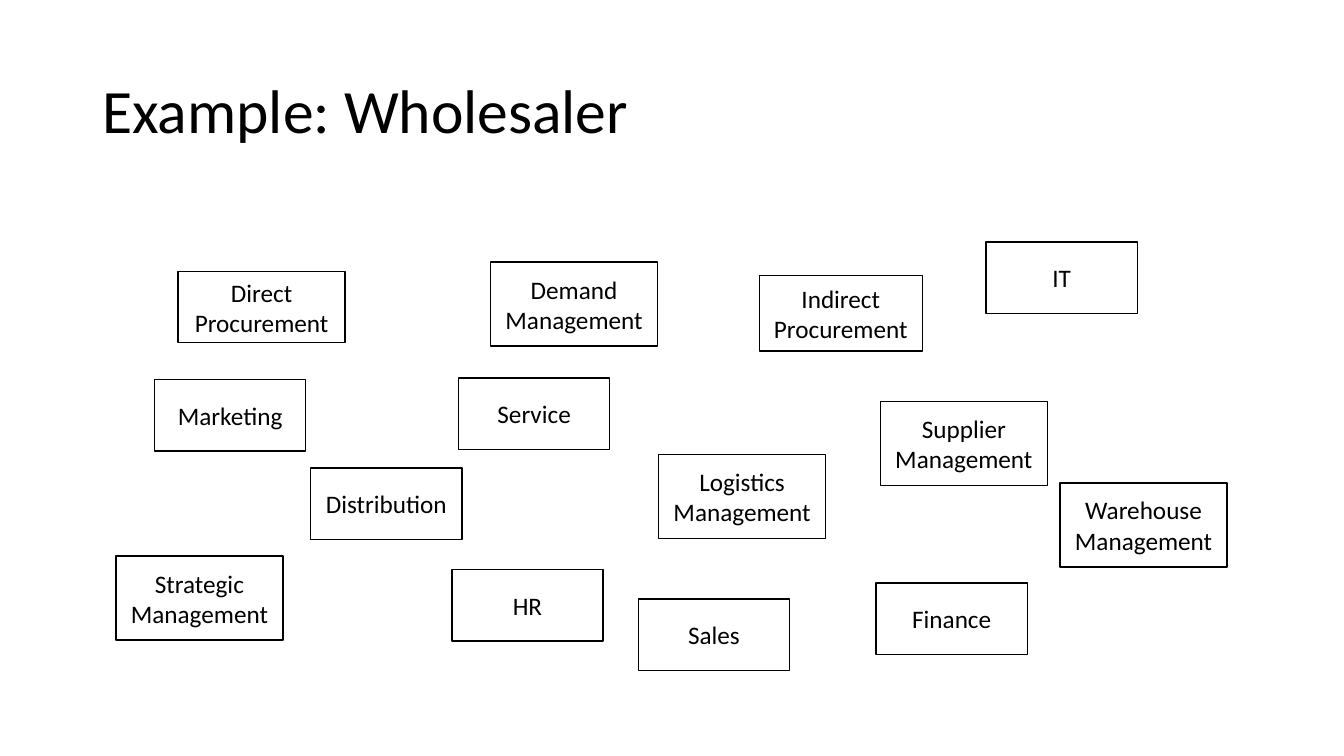
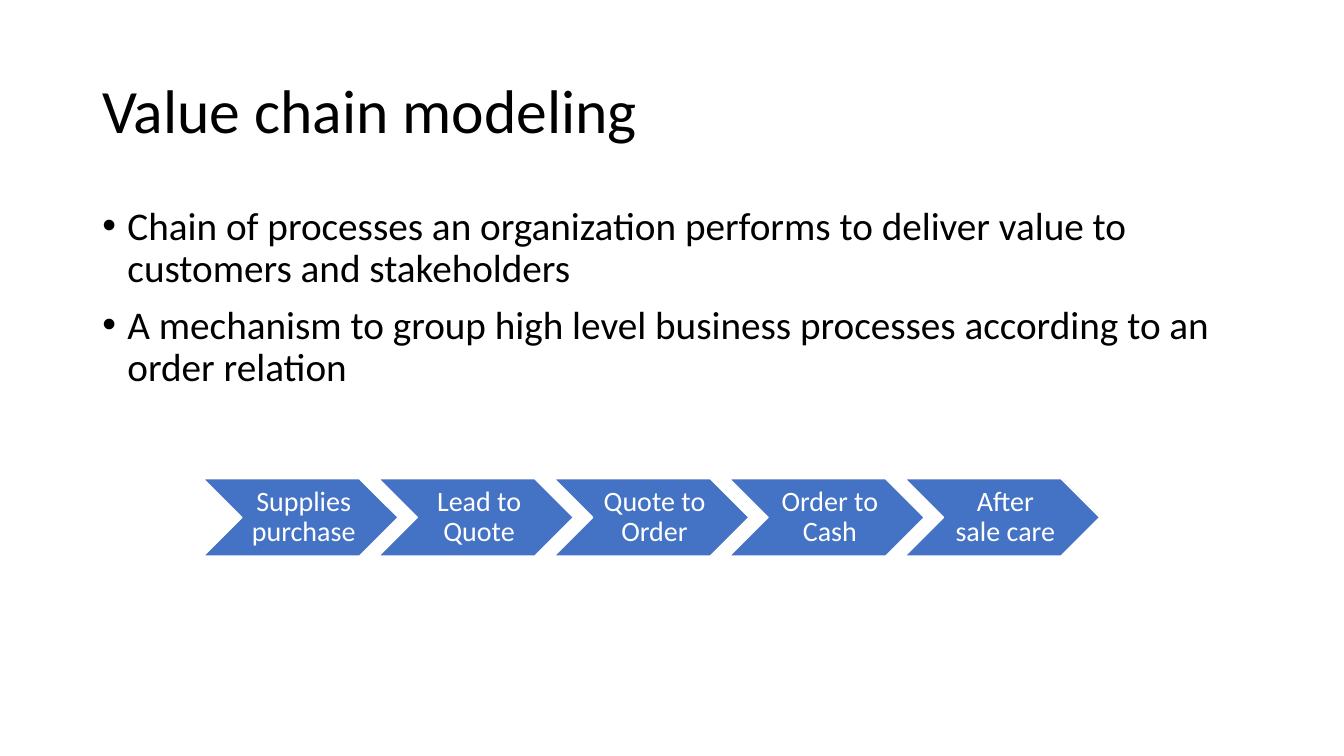
import dataclasses
import typing

import lxml.etree
import pptx
import pptx.dml.color
import pptx.enum.shapes
import pptx.enum.text
import pptx.oxml.ns
import pptx.util

CELL = pptx.util.Inches(7.5 / 9)
COLUMNS, ROWS = 16, 9
FONT = "Calibri"
COLORS = {"ink": "000000", "paper": "FFFFFF", "chain": "4472C4"}

ALIGN = pptx.enum.text.PP_ALIGN
ANCHOR = pptx.enum.text.MSO_ANCHOR
SHAPE = pptx.enum.shapes.MSO_SHAPE


@dataclasses.dataclass(frozen=True)
class Area:
    column: float
    row: float
    columns: float
    rows: float

    def lengths(self) -> list[int]:
        return [round(value * CELL) for value in dataclasses.astuple(self)]


@dataclasses.dataclass(frozen=True)
class Function:
    name: str
    column: float
    row: float
    columns: float = 1.8
    rows: float = 0.85


TITLE_AREA = Area(1.1, 0.48, 13.8, 1.74)
BODY_AREA = Area(1.1, 2.4, 13.8, 5.71)
FIRST_STEP = Area(2.42, 5.7, 2.32, 0.92)
STEP_PITCH = 0.9 * FIRST_STEP.columns

FUNCTIONS = [
    Function("Sales", 7.6, 7.13),
    Function("Direct Procurement", 2.12, 3.23, 1.99),
    Function("Distribution", 3.7, 5.57),
    Function("Marketing", 1.84, 4.52),
    Function("Service", 5.46, 4.5),
    Function("Finance", 10.43, 6.94),
    Function("Indirect Procurement", 9.04, 3.28, 1.94, 0.9),
    Function("IT", 11.74, 2.88),
    Function("HR", 5.38, 6.78),
    Function("Strategic Management", 1.38, 6.62, 1.99, 1),
    Function("Logistics Management", 7.84, 5.41, 1.99, 1),
    Function("Supplier Management", 10.48, 4.78, 1.99, 1),
    Function("Warehouse Management", 12.62, 5.75, 1.99, 1),
    Function("Demand Management", 5.84, 3.12, 1.99, 1),
]
POINTS = [
    "Chain of processes an organization performs to deliver value to customers and stakeholders",
    "A mechanism to group high level business processes according to an order relation",
]
STEPS = ["Supplies purchase", "Lead to Quote", "Quote to Order", "Order to Cash", "After sale care"]


def color(name: str) -> pptx.dml.color.RGBColor:
    return pptx.dml.color.RGBColor.from_string(COLORS[name])


def add_bullet(para: typing.Any) -> None:
    properties = para._p.get_or_add_pPr()
    indent = pptx.util.Inches(0.25)
    properties.set("marL", str(indent))
    properties.set("indent", str(-indent))
    bullet_font = lxml.etree.SubElement(properties, pptx.oxml.ns.qn("a:buFont"))
    bullet_font.set("typeface", "Arial")
    bullet = lxml.etree.SubElement(properties, pptx.oxml.ns.qn("a:buChar"))
    bullet.set("char", "•")


def write(box: typing.Any, *texts: str, size: float, ink: str = "ink",
          align: typing.Any = ALIGN.LEFT, anchor: typing.Any = ANCHOR.MIDDLE,
          line_spacing: float = 1.0, space_before: float = 0, bullets: bool = False,
          margins: tuple[float, float, float, float] = (0.1, 0.05, 0.1, 0.05)) -> None:
    frame = box.text_frame
    frame.word_wrap = True
    frame.vertical_anchor = anchor
    frame.margin_left, frame.margin_top, frame.margin_right, frame.margin_bottom = map(
        pptx.util.Inches, margins)
    for index, text in enumerate(texts):
        para = frame.add_paragraph() if index else frame.paragraphs[0]
        para.alignment = align
        para.line_spacing = line_spacing
        para.space_before = pptx.util.Pt(space_before)
        if bullets:
            add_bullet(para)
        span = para.add_run()
        span.text = text
        span.font.name = FONT
        span.font.size = pptx.util.Pt(size)
        span.font.color.rgb = color(ink)


def add_figure(page: typing.Any, kind: typing.Any, area: Area, fill: str, line: str) -> typing.Any:
    figure = page.shapes.add_shape(kind, *area.lengths())
    figure.shadow.inherit = False
    figure.fill.solid()
    figure.fill.fore_color.rgb = color(fill)
    figure.line.color.rgb = color(line)
    figure.line.width = pptx.util.Pt(1)
    return figure


def add_page(deck: typing.Any, title: str) -> typing.Any:
    page = deck.slides.add_slide(deck.slide_layouts[6])
    page.background.fill.solid()
    page.background.fill.fore_color.rgb = color("paper")
    write(page.shapes.add_textbox(*TITLE_AREA.lengths()), title, size=44, line_spacing=0.9)
    return page


def add_wholesaler(deck: typing.Any) -> None:
    page = add_page(deck, "Example: Wholesaler")
    for function in FUNCTIONS:
        area = Area(function.column, function.row, function.columns, function.rows)
        box = add_figure(page, SHAPE.RECTANGLE, area, "paper", "ink")
        write(box, function.name, size=18, align=ALIGN.CENTER)


def add_value_chain(deck: typing.Any) -> None:
    page = add_page(deck, "Value chain modeling")
    write(page.shapes.add_textbox(*BODY_AREA.lengths()), *POINTS, size=28,
          anchor=ANCHOR.TOP, line_spacing=0.9, space_before=10, bullets=True)
    for index, step in enumerate(STEPS):
        area = dataclasses.replace(FIRST_STEP, column=FIRST_STEP.column + index * STEP_PITCH)
        chevron = add_figure(page, SHAPE.CHEVRON, area, "chain", "paper")
        write(chevron, step, size=20, ink="paper", align=ALIGN.CENTER,
              line_spacing=0.9, margins=(0.09, 0.03, 0.03, 0.03))


def main() -> None:
    deck = pptx.Presentation()
    deck.slide_width = COLUMNS * CELL
    deck.slide_height = ROWS * CELL
    add_wholesaler(deck)
    add_value_chain(deck)
    deck.save("out.pptx")


if __name__ == "__main__":
    main()
